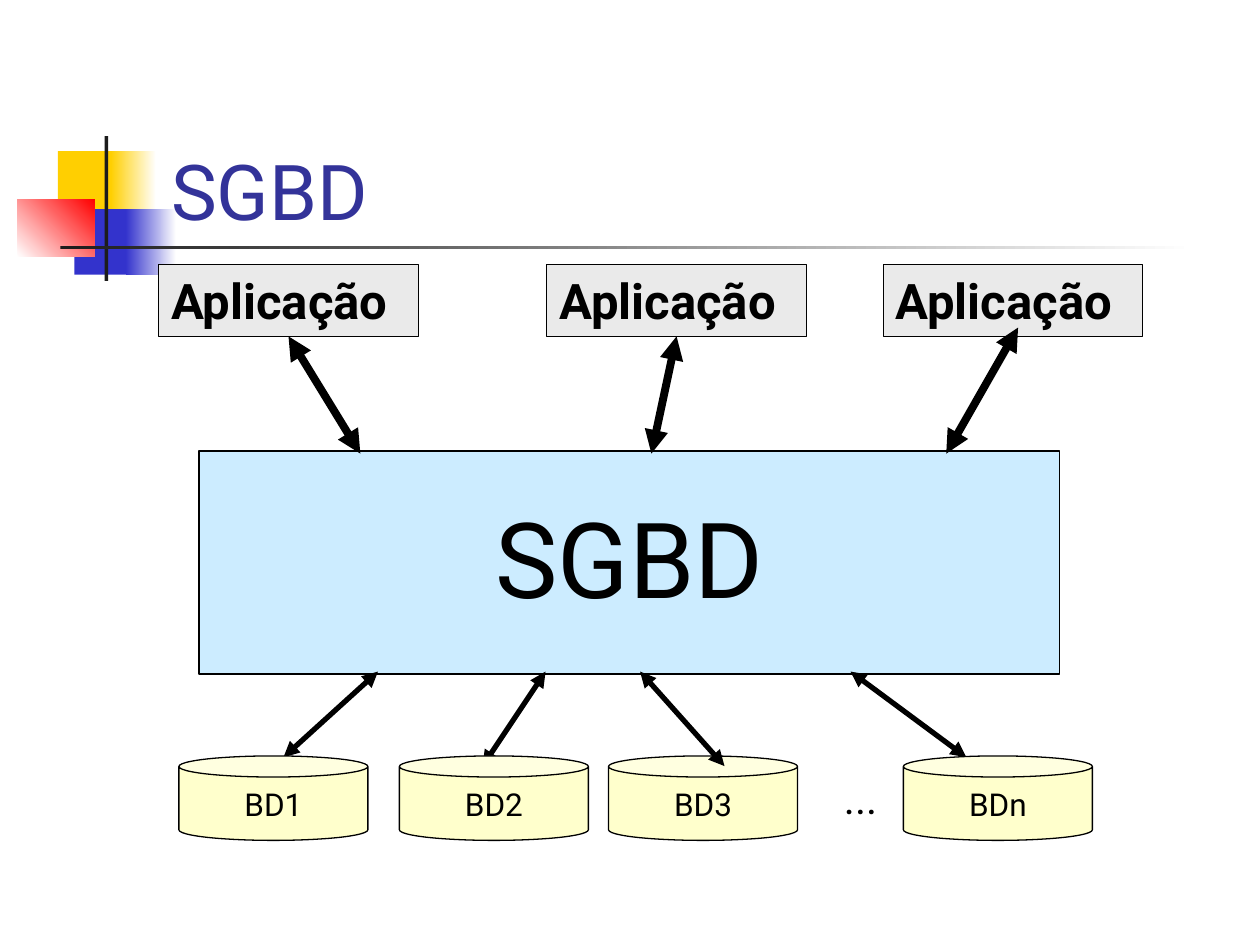
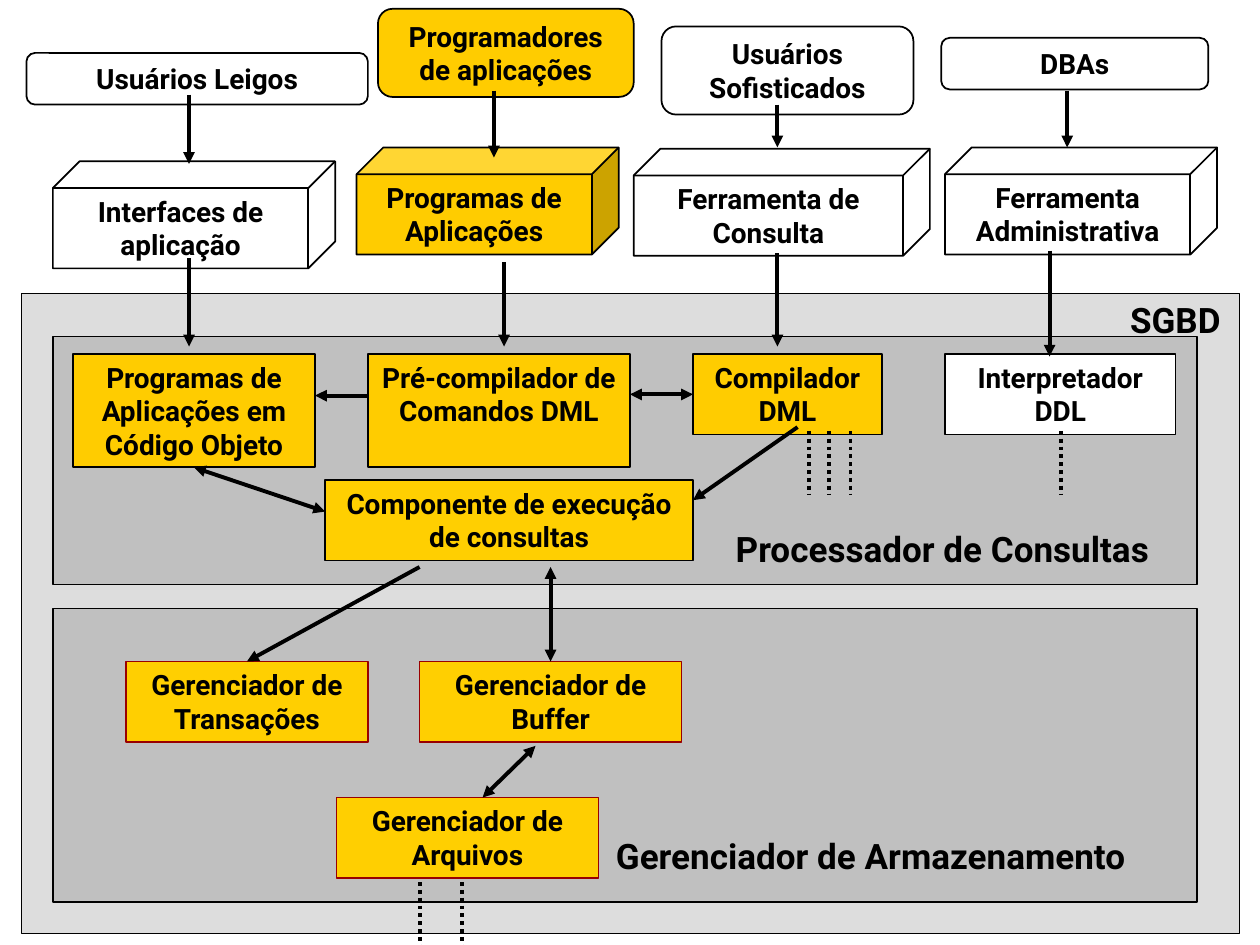
from dataclasses import dataclass

from lxml import etree
from pptx import Presentation
from pptx.dml.color import RGBColor
from pptx.enum.dml import MSO_LINE
from pptx.enum.shapes import MSO_CONNECTOR, MSO_SHAPE
from pptx.enum.text import MSO_ANCHOR, PP_ALIGN
from pptx.oxml.ns import qn
from pptx.util import Inches, Pt

RECTANGLE = MSO_SHAPE.RECTANGLE
ROUNDED = MSO_SHAPE.ROUNDED_RECTANGLE
CUBE = MSO_SHAPE.CUBE
CAN = MSO_SHAPE.CAN
STRAIGHT = MSO_CONNECTOR.STRAIGHT
DOTTED = MSO_LINE.ROUND_DOT
LEFT, CENTER = PP_ALIGN.LEFT, PP_ALIGN.CENTER
TOP, MIDDLE, BOTTOM = MSO_ANCHOR.TOP, MSO_ANCHOR.MIDDLE, MSO_ANCHOR.BOTTOM
TOP_SIDE, LEFT_SIDE, BOTTOM_SIDE = 0, 1, 2
ONE_WAY, BOTH_WAYS = ("tailEnd",), ("headEnd", "tailEnd")


@dataclass(frozen=True)
class Theme:
    font: str = "Roboto"
    ink: str = "000000"
    white: str = "FFFFFF"
    title: str = "333399"
    yellow: str = "FFCF01"
    amber: str = "FFCC00"
    blue: str = "3333CC"
    red: str = "FF0000"
    rule: str = "1C1C1C"
    application: str = "EAEAEA"
    manager: str = "CCECFF"
    database: str = "FFFFCC"
    system: str = "DDDDDD"
    subsystem: str = "C0C0C0"
    maroon: str = "990000"
    title_size: int = 44
    manager_size: int = 60
    application_size: int = 28
    dots_size: int = 24
    label_size: int = 20
    database_size: int = 18
    component_size: int = 16
    thin: float = 0.75
    outline: float = 1
    flow: float = 2.25
    database_flow: float = 3
    application_flow: float = 4.5


THEME = Theme()


def rgb(code):
    return RGBColor.from_string(code)


def write_text(box, text, size, color=THEME.ink, bold=False, align=LEFT, anchor=TOP):
    frame = box.text_frame
    frame.word_wrap = True
    frame.vertical_anchor = anchor
    para = frame.paragraphs[0]
    para.alignment = align
    span = para.add_run()
    span.text = text
    span.font.name = THEME.font
    span.font.size = Pt(size)
    span.font.bold = bold
    span.font.color.rgb = rgb(color)


def add_label(page, place, text, size, **style):
    box = page.shapes.add_textbox(*map(Inches, place))
    write_text(box, text, size, **style)


def add_block(page, kind, place, fill=None, line=None, weight=THEME.outline):
    block = page.shapes.add_shape(kind, *map(Inches, place))
    block.shadow.inherit = False
    if fill:
        block.fill.solid()
        block.fill.fore_color.rgb = rgb(fill)
    else:
        block.fill.background()
    if line:
        block.line.color.rgb = rgb(line)
        block.line.width = Pt(weight)
    else:
        block.line.fill.background()
    return block


def add_fade(page, place, first, last, angle=0):
    block = add_block(page, RECTANGLE, place)
    block.fill.gradient()
    block.fill.gradient_angle = angle
    for stop, color in zip(block.fill.gradient_stops, (first, last)):
        stop.color.rgb = rgb(color)


def add_component(page, kind, place, text, fill=None, line=THEME.ink):
    block = add_block(page, kind, place, fill, line)
    write_text(block, text, THEME.component_size, bold=True, align=CENTER)
    return block


def add_line(page, start, end, weight=THEME.flow, heads=(), dash=None,
             begin=None, finish=None):
    line = page.shapes.add_connector(STRAIGHT, *map(Inches, start + end))
    line.line.color.rgb = rgb(THEME.ink)
    line.line.width = Pt(weight)
    if dash:
        line.line.dash_style = dash
    outline = line.line._get_or_add_ln()
    for head in heads:
        etree.SubElement(outline, qn(f"a:{head}"), type="triangle")
    etree.SubElement(line._element.spPr, qn("a:effectLst"))
    if begin:
        line.begin_connect(*begin)
    if finish:
        line.end_connect(*finish)


def add_title_ornament(page):
    add_block(page, RECTANGLE, (0.46, 1.2, 0.48, 0.52), THEME.yellow)
    add_fade(page, (0.88, 1.2, 0.36, 0.52), THEME.yellow, THEME.white)
    add_block(page, RECTANGLE, (0.59, 1.66, 0.46, 0.52), THEME.blue)
    add_fade(page, (1, 1.66, 0.4, 0.52), THEME.blue, THEME.white)
    add_fade(page, (0.14, 1.58, 0.61, 0.46), THEME.white, THEME.red, 45)
    add_block(page, RECTANGLE, (0.83, 1.08, 0.03, 1.15), THEME.rule)
    add_fade(page, (0.48, 1.95, 9, 0.03), THEME.rule, THEME.white)


def add_title(page, text):
    add_title_ornament(page)
    add_label(page, (1.26, 0.67, 8.52, 1.25), text, THEME.title_size,
              color=THEME.title, anchor=BOTTOM)


def build_overview(page):
    add_title(page, "SGBD")
    manager = add_block(page, RECTANGLE, (1.58, 3.58, 6.83, 1.77),
                        THEME.manager, THEME.ink, THEME.thin)
    write_text(manager, "SGBD", THEME.manager_size, align=CENTER, anchor=MIDDLE)
    manager.text_frame.margin_bottom = Inches(0.15)

    applications = []
    for left in (1.26, 4.34, 7.01):
        application = add_block(page, RECTANGLE, (left, 2.1, 2.06, 0.57),
                                THEME.application, THEME.ink, THEME.thin)
        write_text(application, "Aplicação", THEME.application_size, bold=True)
        applications.append(application)

    first, second, _ = applications
    for start, end, begin in (
        ((2.33, 2.68), (2.86, 3.6), (first, BOTTOM_SIDE)),
        ((5.42, 2.68), (5.17, 3.6), (second, BOTTOM_SIDE)),
        ((8.08, 2.6), (7.51, 3.6), None),
    ):
        add_line(page, start, end, THEME.application_flow, BOTH_WAYS, begin=begin)

    def link_database(manager_x, database_x, database_y):
        add_line(page, (manager_x, 5.33), (database_x, database_y),
                 THEME.database_flow, BOTH_WAYS)

    for link in ((3, 2.25, 6.01), (4.33, 3.83, 6.08), (6.75, 7.67, 6.01)):
        link_database(*link)
    for name, left in (("BD1", 1.42), ("BD2", 3.17), ("BD3", 4.83), ("BDn", 7.17)):
        database = add_block(page, CAN, (left, 6, 1.5, 0.67),
                             THEME.database, THEME.ink, THEME.thin)
        write_text(database, name, THEME.database_size, align=CENTER, anchor=MIDDLE)
    link_database(5.08, 5.75, 6.08)
    add_label(page, (6.6, 6.08, 0.47, 0.5), "...", THEME.dots_size)


def build_architecture(page):
    add_block(page, RECTANGLE, (0.17, 2.33, 9.67, 5.08),
              THEME.system, THEME.ink, THEME.thin)
    for top, height in ((2.67, 1.97), (4.83, 2.33)):
        add_block(page, RECTANGLE, (0.42, top, 9.08, height),
                  THEME.subsystem, THEME.ink)

    for place, text, fill in (
        ((0.21, 0.42, 2.71, 0.41), "Usuários Leigos", None),
        ((3, 0.07, 2.03, 0.7), "Programadores de aplicações", THEME.amber),
        ((5.25, 0.21, 2, 0.7), "Usuários Sofisticados", None),
        ((7.47, 0.3, 2.12, 0.41), "DBAs", None),
    ):
        add_component(page, ROUNDED, place, text, fill)

    for left, top, width, text, fill in (
        (0.42, 1.28, 2.24, "Interfaces de aplicação", None),
        (2.83, 1.17, 2.08, "Programas de Aplicações", THEME.amber),
        (5.03, 1.18, 2.35, "Ferramenta de Consulta", None),
        (7.5, 1.17, 2.16, "Ferramenta Administrativa", None),
    ):
        add_component(page, CUBE, (left, top, width, 0.85), text, fill)

    object_code, _, compiler, _, _ = [
        add_component(page, RECTANGLE, place, text, fill)
        for place, text, fill in (
            ((0.58, 2.81, 1.92, 0.9), "Programas de Aplicações em Código Objeto",
             THEME.amber),
            ((2.92, 2.81, 2.08, 0.9), "Pré-compilador de Comandos DML", THEME.amber),
            ((5.5, 2.81, 1.5, 0.64), "Compilador DML", THEME.amber),
            ((7.5, 2.81, 1.83, 0.64), "Interpretador DDL", THEME.white),
            ((2.58, 3.81, 2.92, 0.64), "Componente de execução de consultas",
             THEME.yellow),
        )
    ]
    transactions, buffer, _ = [
        add_component(page, RECTANGLE, (left, top, width, 0.64),
                      f"Gerenciador de {task}", THEME.yellow, THEME.maroon)
        for left, top, width, task in (
            (1, 5.25, 1.92, "Transações"),
            (3.33, 5.25, 2.08, "Buffer"),
            (2.67, 6.33, 2.08, "Arquivos"),
        )
    ]

    for x, top, bottom in (
        (1.5, 0.75, 1.3), (3.92, 0.72, 1.25), (6.17, 0.83, 1.17), (8.47, 0.72, 1.17),
        (1.5, 2.05, 2.75), (4, 2.08, 2.75), (6.17, 2.01, 2.75), (8.33, 1.99, 2.83),
    ):
        add_line(page, (x, top), (x, bottom), heads=ONE_WAY)

    for start, end, heads, begin, finish in (
        ((2.92, 3.14), (2.5, 3.14), ONE_WAY, None, None),
        ((5, 3.13), (5.5, 3.13), BOTH_WAYS, None, (compiler, LEFT_SIDE)),
        ((1.5, 3.72), (2.58, 4.06), BOTH_WAYS, (object_code, BOTTOM_SIDE), None),
        ((6.33, 3.39), (5.5, 3.97), ONE_WAY, None, None),
        ((3.33, 4.5), (2, 5.27), ONE_WAY, None, (transactions, TOP_SIDE)),
        ((4.37, 4.5), (4.37, 5.25), BOTH_WAYS, None, (buffer, TOP_SIDE)),
        ((4.25, 5.92), (3.83, 6.33), BOTH_WAYS, None, None),
    ):
        add_line(page, start, end, heads=heads, begin=begin, finish=finish)

    for top, columns in ((3.42, (6.42, 6.58, 6.75, 8.42)), (7, (3.33, 3.67))):
        for x in columns:
            add_line(page, (x, top), (x, top + 0.5), dash=DOTTED)

    for left, top, width, text in (
        (8.87, 2.32, 0.95, "SGBD"),
        (5.74, 4.14, 3.75, "Processador de Consultas"),
        (4.79, 6.57, 4.72, "Gerenciador de Armazenamento"),
    ):
        add_label(page, (left, top, width, 0.44), text, THEME.label_size, bold=True)


def main():
    deck = Presentation()
    deck.slide_width = Inches(10)
    deck.slide_height = Inches(7.5)
    blank = deck.slide_layouts[6]
    for build in (build_overview, build_architecture):
        build(deck.slides.add_slide(blank))
    deck.save("out.pptx")


if __name__ == "__main__":
    main()
